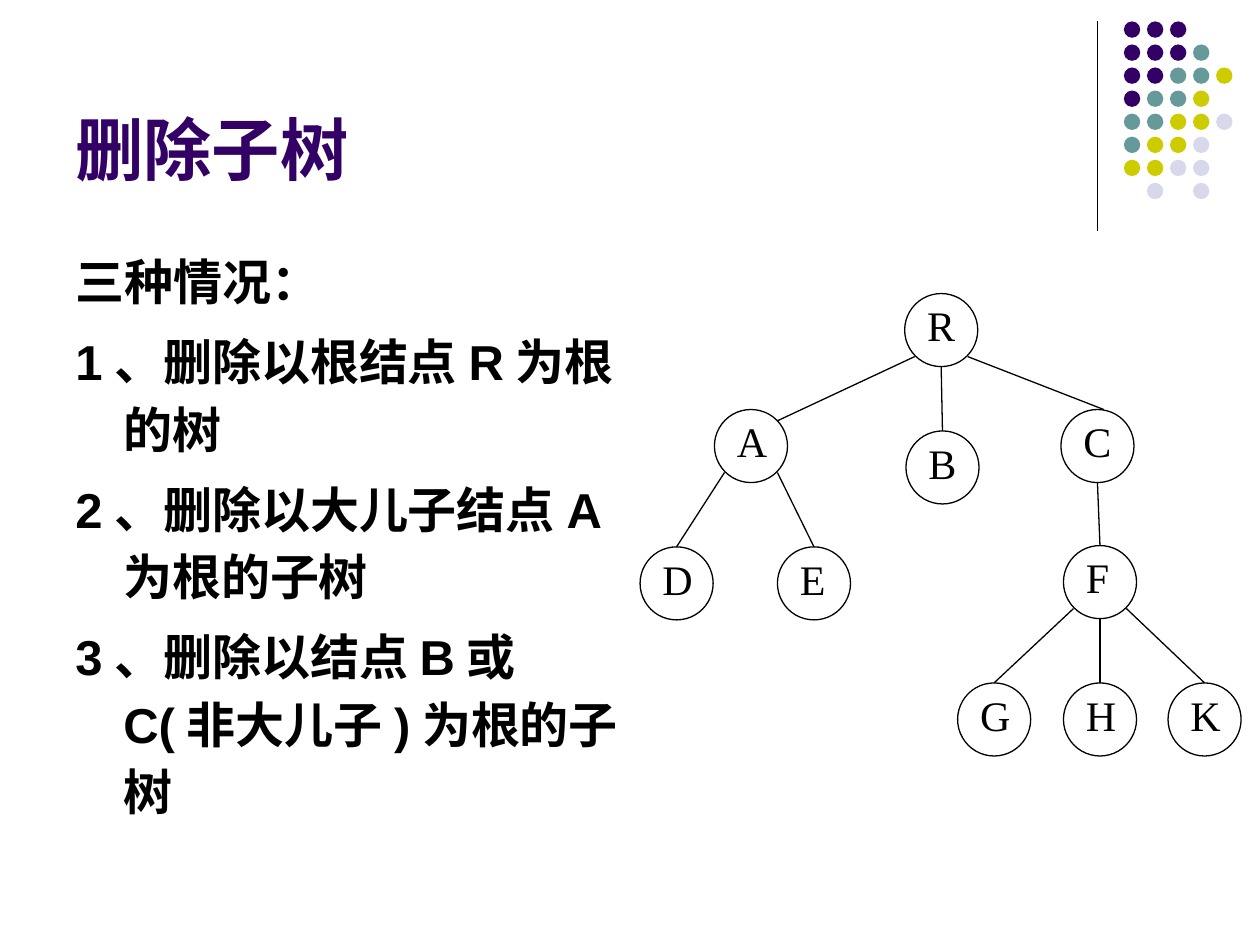
from typing import NamedTuple

from lxml.etree import SubElement
from pptx import Presentation
from pptx.dml.color import RGBColor
from pptx.enum.shapes import MSO_CONNECTOR, MSO_SHAPE
from pptx.enum.text import MSO_ANCHOR, MSO_AUTO_SIZE
from pptx.oxml.ns import qn
from pptx.util import Inches, Pt

BLACK = "000000"
NODE_SIZE = 0.58
DOT_SIZE = 0.13
DOT_LEFT, DOT_TOP, DOT_PITCH = 8.92, 0.17, 0.18 + 0.003
DOT_COLORS = {"P": "330066", "T": "669999", "Y": "CCCC00", "L": "D8D8EC"}
DOT_ROWS = ["PPP", "PPPT", "PPTTY", "PTTY", "TTYYL", "TYYL", "YYLL", ".L.L"]

# Points on a node where edges attach, measured from its top left
ANCHORS = {
    "top": (0.29, 0),
    "top right": (0.5, 0.09),
    "right of top": (0.34, 0),
    "bottom left": (0.08, 0.5),
    "bottom": (0.29, 0.58),
    "bottom right": (0.5, 0.5),
}


class Node(NamedTuple):
    left: float
    top: float
    label_width: float


class Edge(NamedTuple):
    parent: str
    start: str
    child: str
    end: str = "top"


NODES = {
    "R": Node(7.18, 2.33, 0.42),
    "A": Node(5.67, 3.25, 0.44),
    "B": Node(7.19, 3.42, 0.42),
    "C": Node(8.42, 3.25, 0.42),
    "D": Node(5.08, 4.34, 0.44),
    "E": Node(6.17, 4.34, 0.4),
    "F": Node(8.44, 4.33, 0.38),
    "G": Node(7.6, 5.42, 0.44),
    "H": Node(8.44, 5.42, 0.44),
    "K": Node(9.27, 5.42, 0.44),
}
EDGES = [
    Edge("R", "bottom left", "A", "top right"),
    Edge("R", "bottom", "B"),
    Edge("R", "bottom right", "C", "right of top"),
    Edge("A", "bottom left", "D"),
    Edge("A", "bottom right", "E"),
    Edge("C", "bottom", "F"),
    Edge("F", "bottom left", "G"),
    Edge("F", "bottom", "H"),
    Edge("F", "bottom right", "K"),
]
BODY = [
    "三种情况：",
    "1、删除以根结点R为根的树",
    "2、删除以大儿子结点A为根的子树",
    "3、删除以结点B或C(非大儿子)为根的子树",
]


def rgb(color: str) -> RGBColor:
    return RGBColor.from_string(color)


def add_line(s, x1: float, y1: float, x2: float, y2: float) -> None:
    line = s.shapes.add_connector(MSO_CONNECTOR.STRAIGHT, Inches(x1), Inches(y1),
                                  Inches(x2), Inches(y2))
    line.line.color.rgb = rgb(BLACK)
    line.line.width = Pt(0.75)
    SubElement(line._element.spPr, qn("a:effectLst"))


def add_circle(s, left: float, top: float, size: float, fill: str = "") -> None:
    """Draw a filled dot, or an outlined circle when no fill is given."""
    sp = s.shapes.add_shape(MSO_SHAPE.OVAL, Inches(left), Inches(top),
                            Inches(size), Inches(size))
    sp.shadow.inherit = False
    if fill:
        sp.fill.solid()
        sp.fill.fore_color.rgb = rgb(fill)
        sp.line.fill.background()
    else:
        sp.fill.background()
        sp.line.color.rgb = rgb(BLACK)
        sp.line.width = Pt(0.75)


def add_text(s, left: float, top: float, width: float, height: float,
             lines: list[str], size: float, font: str = "Arial",
             color: str = BLACK, bold: bool = True, wrap: bool = True):
    tf = s.shapes.add_textbox(Inches(left), Inches(top), Inches(width),
                              Inches(height)).text_frame
    tf.word_wrap = wrap
    tf.text = "\n".join(lines)
    for p in tf.paragraphs:
        for r in p.runs:
            r.font.size = Pt(size)
            r.font.name = font
            r.font.bold = bold
            r.font.color.rgb = rgb(color)
    return tf


def add_node(s, label: str, node: Node) -> None:
    add_circle(s, node.left, node.top, NODE_SIZE)
    tf = add_text(s, node.left + 0.08, node.top, node.label_width, 0.5, [label],
                  24, "Times New Roman", bold=False, wrap=False)
    tf.auto_size = MSO_AUTO_SIZE.SHAPE_TO_FIT_TEXT


def add_edge(s, edge: Edge) -> None:
    parent, child = NODES[edge.parent], NODES[edge.child]
    (x1, y1), (x2, y2) = ANCHORS[edge.start], ANCHORS[edge.end]
    add_line(s, parent.left + x1, parent.top + y1, child.left + x2, child.top + y2)


def main() -> None:
    prs = Presentation()
    prs.slide_width, prs.slide_height = Inches(10), Inches(7.5)
    s = prs.slides.add_slide(prs.slide_layouts[6])

    # Corner decoration
    add_line(s, 8.71, 0.17, 8.71, 1.83)
    for row, codes in enumerate(DOT_ROWS):
        for col, code in enumerate(codes):
            if code in DOT_COLORS:
                add_circle(s, DOT_LEFT + col * DOT_PITCH, DOT_TOP + row * DOT_PITCH,
                           DOT_SIZE, DOT_COLORS[code])

    # Title
    tf = add_text(s, 0.5, 0.13, 8.25, 1.42, ["删除子树"], 39, color="330066")
    tf.vertical_anchor = MSO_ANCHOR.BOTTOM

    # Body with hanging indents
    tf = add_text(s, 0.5, 1.88, 4.58, 4.82, BODY, 28)
    for i, p in enumerate(tf.paragraphs):
        p.line_spacing = 1.15
        p.space_before = Pt(7 if i else 0)
        pPr = p._p.get_or_add_pPr()
        pPr.set("marL", str(Inches(0.38)))
        pPr.set("indent", str(Inches(-0.38)))

    # Tree
    for edge in EDGES:
        add_edge(s, edge)
    for label, node in NODES.items():
        add_node(s, label, node)

    prs.save("out.pptx")


if __name__ == "__main__":
    main()
